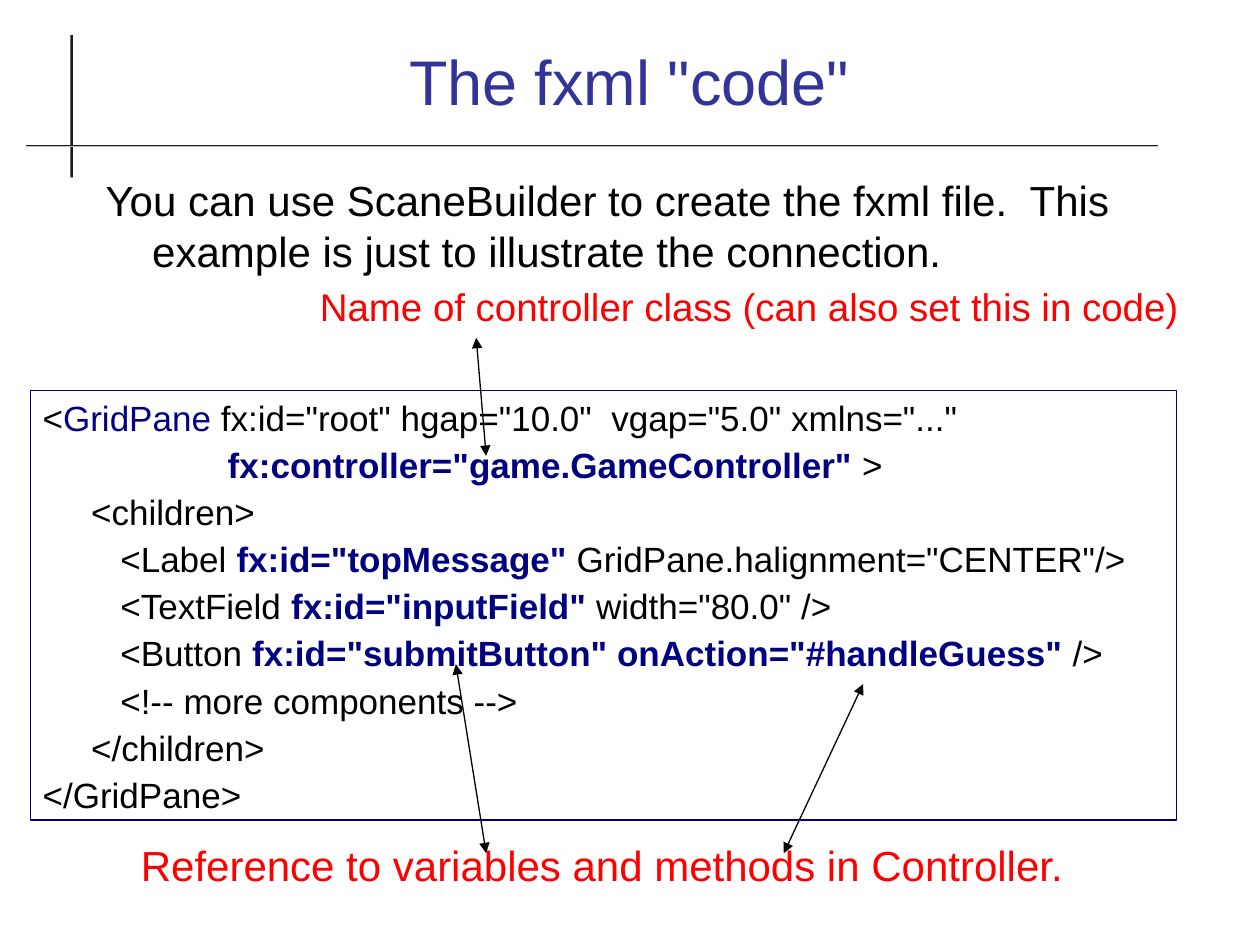
from dataclasses import dataclass, field

from lxml.etree import SubElement
from pptx import Presentation
from pptx.dml.color import RGBColor
from pptx.enum.shapes import MSO_CONNECTOR, MSO_SHAPE
from pptx.enum.text import MSO_ANCHOR, PP_ALIGN
from pptx.oxml.ns import qn
from pptx.util import Cm, Pt

BLACK, NAVY, RED, TITLE_BLUE, RULE = "000000", "000080", "FF0000", "333399", "1C1C1C"


@dataclass
class Caption:
    text: str
    box: tuple[float, float, float, float]
    size: float
    color: str
    frame_format: dict = field(default_factory=dict)
    paragraph_format: dict = field(default_factory=dict)
    hanging: float = 0


@dataclass
class Arrow:
    start: tuple[float, float]
    end: tuple[float, float]


@dataclass
class Code:
    text: str
    color: str = BLACK
    bold: bool = False


def key(text: str) -> Code:
    """Code that ties the markup to the controller."""
    return Code(text, NAVY, True)


CAPTIONS = [
    Caption('The fxml "code"', (1.7, 0.43, 21.97, 2.36), 36, TITLE_BLUE,
            {"vertical_anchor": MSO_ANCHOR.MIDDLE}, {"alignment": PP_ALIGN.CENTER}),
    Caption("You can use ScaneBuilder to create the fxml file.  This example is just "
            "to illustrate the connection.", (1.88, 3.4, 21.97, 2.59), 24, BLACK,
            hanging=0.94),
    Caption("Name of controller class (can also set this in code)",
            (6.2, 5.59, 18.59, 2.11), 22, RED),
    Caption("Reference to variables and methods in Controller.",
            (2.59, 16.79, 19.41, 1.78), 24, RED),
]

CODE_LINES = [
    [Code("<"), Code("GridPane", NAVY),
     Code(' fx:id="root" hgap="10.0"  vgap="5.0" xmlns="..."')],
    [Code("                   "), key('fx:controller="game.GameController"'), Code(" >")],
    [Code("     <children>")],
    [Code("        <Label "), key('fx:id="topMessage"'),
     Code(' GridPane.halignment="CENTER"/>')],
    [Code("        <TextField "), key('fx:id="inputField"'), Code(' width="80.0" />')],
    [Code("        <Button"), key(' fx:id="submitButton" onAction="#handleGuess"'),
     Code(" />")],
    [Code("        <!-- more components -->")],
    [Code("     </children>")],
    [Code("</GridPane>")],
]

ARROWS = [
    Arrow((9.6, 6.81), (9.8, 9.19)),
    Arrow((9.8, 17.2), (9.19, 13.39)),
    Arrow((15.8, 17.2), (17.4, 13.79)),
]


def color(hex_value: str) -> RGBColor:
    return RGBColor.from_string(hex_value)


def apply(target, values: dict) -> None:
    for name, value in values.items():
        setattr(target, name, value)


def style(font, size: float, hex_value: str, bold: bool = False) -> None:
    apply(font, {"name": "Arial", "size": Pt(size), "bold": bold})
    font.color.rgb = color(hex_value)


def add_rectangle(slide, box: tuple[float, float, float, float]):
    rectangle = slide.shapes.add_shape(MSO_SHAPE.RECTANGLE, *map(Cm, box))
    rectangle.shadow.inherit = False
    rectangle.line.fill.background()
    return rectangle


def add_rules(slide) -> None:
    upright = add_rectangle(slide, (1.42, 0.71, 0.05, 2.87))
    upright.fill.solid()
    upright.fill.fore_color.rgb = color(RULE)
    underline = add_rectangle(slide, (0.53, 2.92, 22.81, 0.05))
    underline.fill.gradient()
    underline.fill.gradient_angle = 90
    for stop, shade in zip(underline.fill.gradient_stops, ("FFFFFF", RULE)):
        stop.color.rgb = color(shade)


def add_caption(slide, caption: Caption) -> None:
    frame = slide.shapes.add_textbox(*map(Cm, caption.box)).text_frame
    apply(frame, {"word_wrap": True, **caption.frame_format})
    paragraph = frame.paragraphs[0]
    apply(paragraph, caption.paragraph_format)
    if caption.hanging:
        properties = paragraph._p.get_or_add_pPr()
        properties.set("marL", str(Cm(caption.hanging)))
        properties.set("indent", str(Cm(-caption.hanging)))
    run = paragraph.add_run()
    run.text = caption.text
    style(run.font, caption.size, caption.color)


def add_code(slide, lines: list[list[Code]]) -> None:
    panel = add_rectangle(slide, (0.61, 7.87, 23.11, 8.66))
    panel.fill.background()
    panel.line.color.rgb = color(NAVY)
    panel.line.width = Pt(0.75)
    frame = panel.text_frame
    apply(frame, {"word_wrap": True, "vertical_anchor": MSO_ANCHOR.TOP})
    for number, line in enumerate(lines):
        paragraph = frame.add_paragraph() if number else frame.paragraphs[0]
        apply(paragraph, {"alignment": PP_ALIGN.LEFT,
                          "space_before": Pt(2.9 if number else 0)})
        for code in line:
            run = paragraph.add_run()
            run.text = code.text
            style(run.font, 20, code.color, code.bold)


def add_arrow(slide, arrow: Arrow) -> None:
    connector = slide.shapes.add_connector(
        MSO_CONNECTOR.STRAIGHT, *map(Cm, arrow.start + arrow.end))
    connector.line.color.rgb = color(BLACK)
    connector.line.width = Pt(0.75)
    outline = connector.line._get_or_add_ln()
    for end in ("a:headEnd", "a:tailEnd"):
        SubElement(outline, qn(end), type="triangle")
    SubElement(connector._element.spPr, qn("a:effectLst"))


def main() -> None:
    presentation = Presentation()
    apply(presentation, {"slide_width": Cm(25.4), "slide_height": Cm(19.05)})
    slide = presentation.slides.add_slide(presentation.slide_layouts[6])

    # Heading rules
    add_rules(slide)

    # Markup listing
    add_code(slide, CODE_LINES)

    # Title, introduction and red remarks
    for caption in CAPTIONS:
        add_caption(slide, caption)

    # Arrows that tie the remarks to the listing
    for arrow in ARROWS:
        add_arrow(slide, arrow)

    presentation.save("out.pptx")


if __name__ == "__main__":
    main()
